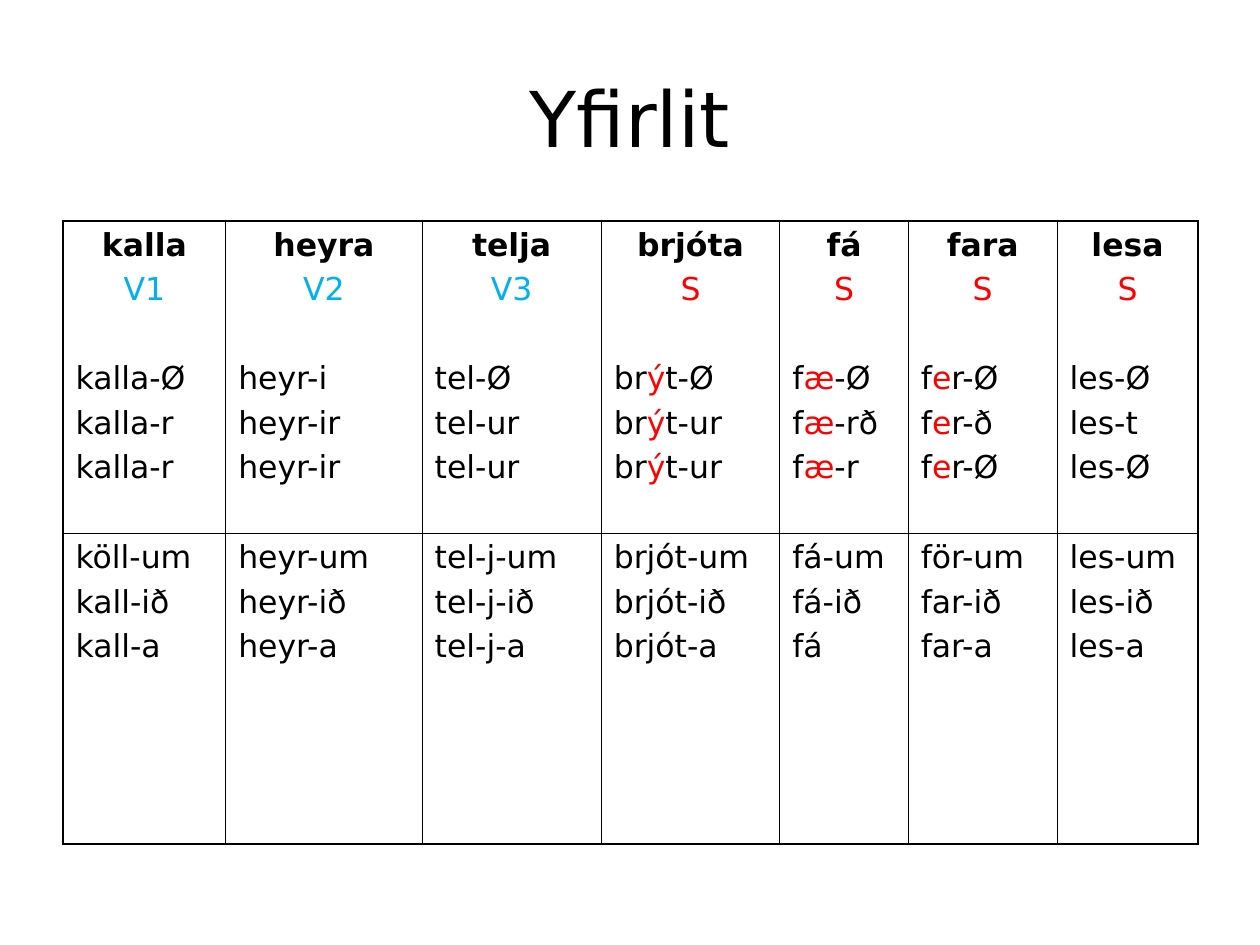
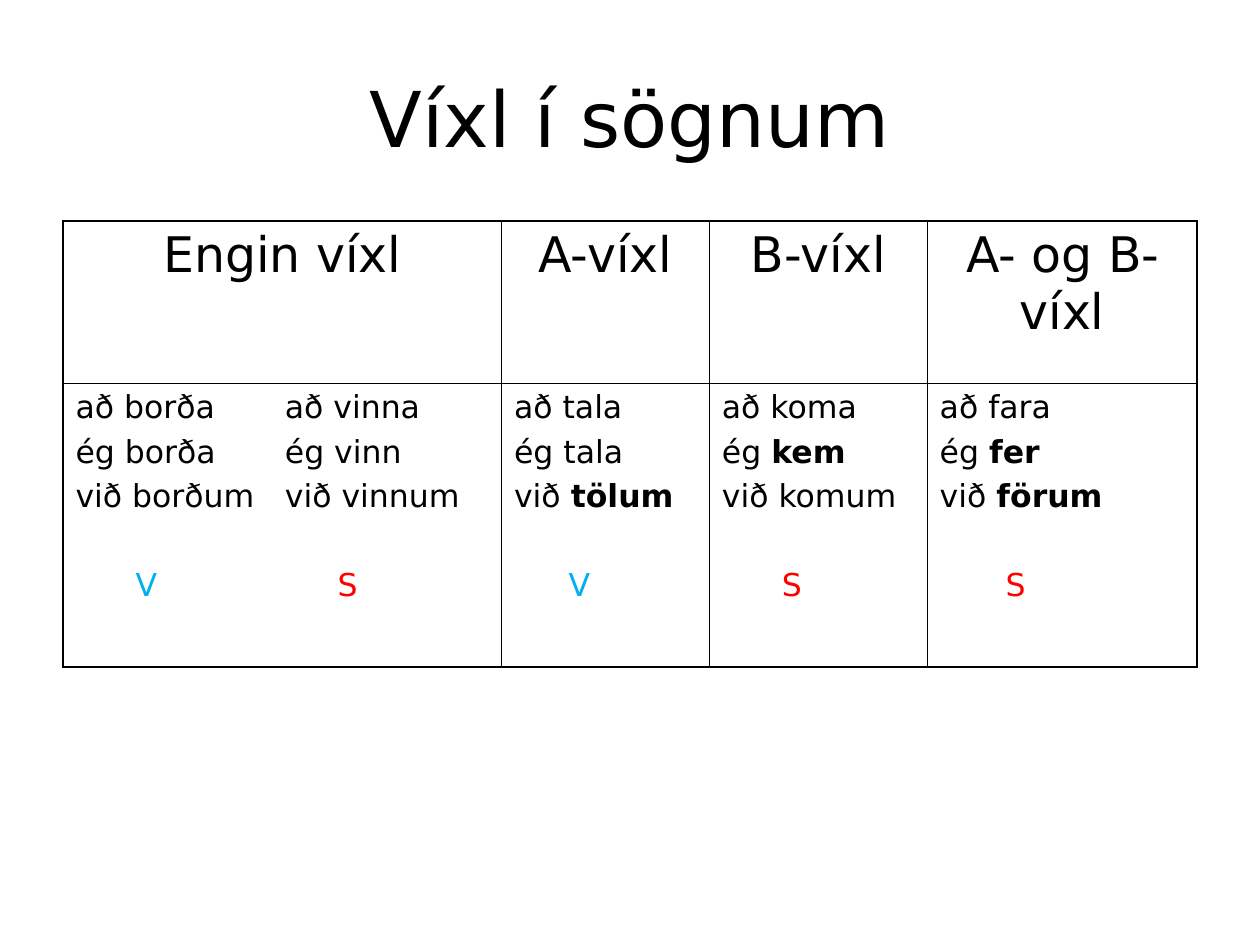
from dataclasses import dataclass

from lxml import etree
from pptx import Presentation
from pptx import util as u
from pptx.dml.color import RGBColor
from pptx.enum import text
from pptx.oxml import ns

FONT = "DejaVu Sans"
BLACK = RGBColor(0x00, 0x00, 0x00)
BLUE = RGBColor(0x00, 0xB0, 0xF0)
RED = RGBColor(0xFF, 0x00, 0x00)

SLIDE_WIDTH, SLIDE_HEIGHT = u.Cm(25.4), u.Cm(19.05)
LEFT_MARGIN, TABLE_TOP = u.Cm(1.27), u.Cm(4.45)
TITLE_TOP, TITLE_WIDTH, TITLE_HEIGHT = u.Cm(0.76), u.Cm(22.86), u.Cm(3.18)
OUTER_BORDER, INNER_BORDER = u.Pt(1.08), u.Pt(0.45)
LINE_GAP, HEADER_GAP, GROUP_GAP = 4.5, 7, 30


@dataclass(frozen=True)
class Emphasis:
    text: str
    color: RGBColor = BLACK
    bold: bool = False


@dataclass(frozen=True)
class Line:
    text: str
    emphases: tuple[Emphasis, ...] = ()
    bold: bool = False
    centered: bool = False
    size: float = 18
    space_before: float = LINE_GAP
    tabs: tuple[float, ...] = ()


@dataclass(frozen=True)
class Verb:
    infinitive: str
    verb_class: str
    singular: tuple[str, ...]
    plural: tuple[str, ...]
    changed_vowel: str = ""


@dataclass(frozen=True)
class Grid:
    title: str
    column_widths: tuple[float, ...]
    row_heights: tuple[float, ...]
    rows: list[list[list[Line]]]


VERBS = (
    Verb("kalla", "V1", ("kalla-Ø", "kalla-r", "kalla-r"), ("köll-um", "kall-ið", "kall-a")),
    Verb("heyra", "V2", ("heyr-i", "heyr-ir", "heyr-ir"), ("heyr-um", "heyr-ið", "heyr-a")),
    Verb("telja", "V3", ("tel-Ø", "tel-ur", "tel-ur"), ("tel-j-um", "tel-j-ið", "tel-j-a")),
    Verb("brjóta", "S", ("brýt-Ø", "brýt-ur", "brýt-ur"), ("brjót-um", "brjót-ið", "brjót-a"), "ý"),
    Verb("fá", "S", ("fæ-Ø", "fæ-rð", "fæ-r"), ("fá-um", "fá-ið", "fá"), "æ"),
    Verb("fara", "S", ("fer-Ø", "fer-ð", "fer-Ø"), ("för-um", "far-ið", "far-a"), "e"),
    Verb("lesa", "S", ("les-Ø", "les-t", "les-Ø"), ("les-um", "les-ið", "les-a")),
)


def class_mark(name: str) -> Emphasis:
    return Emphasis(name, RED if name == "S" else BLUE)


def bold_word(word: str) -> tuple[Emphasis, ...]:
    return (Emphasis(word, bold=True),)


def class_line(names: str, *tabs: float) -> Line:
    return Line("".join(f"\t{name}" for name in names),
                tuple(class_mark(name) for name in names),
                space_before=GROUP_GAP, tabs=tabs)


def singular_lines(verb: Verb) -> list[Line]:
    vowel = (Emphasis(verb.changed_vowel, RED),) if verb.changed_vowel else ()
    heading = [
        Line(verb.infinitive, bold=True, centered=True),
        Line(verb.verb_class, (class_mark(verb.verb_class),), centered=True),
    ]
    forms = [Line(form, vowel, space_before=LINE_GAP if index else GROUP_GAP)
             for index, form in enumerate(verb.singular)]
    return heading + forms


def paired_line(first: str, second: str) -> Line:
    return Line(f"{first}\t{second}", tabs=(4.22,))


OVERVIEW = Grid(
    "Yfirlit",
    (3.28, 3.96, 3.61, 3.6, 2.59, 3.0, 2.84),
    (6.3, 6.27),
    [
        [singular_lines(verb) for verb in VERBS],
        [[Line(form) for form in verb.plural] for verb in VERBS],
    ],
)

ALTERNATIONS = Grid(
    "Víxl í sögnum",
    (8.84, 4.19, 4.39, 5.44),
    (3.28, 5.72),
    [
        [[Line(name, centered=True, size=28, space_before=HEADER_GAP)]
         for name in ("Engin víxl", "A-víxl", "B-víxl", "A- og B-víxl")],
        [
            [paired_line("að borða", "að vinna"), paired_line("ég borða", "ég vinn"),
             paired_line("við borðum", "við vinnum"), class_line("VS", 1.21, 5.28)],
            [Line("að tala"), Line("ég tala"),
             Line("við tölum", bold_word("tölum")), class_line("V", 1.1)],
            [Line("að koma"), Line("ég kem", bold_word("kem")),
             Line("við komum"), class_line("S", 1.21)],
            [Line("að fara"), Line("ég fer", bold_word("fer")),
             Line("við förum", bold_word("förum")), class_line("S", 1.33)],
        ],
    ],
)


def format_run(run, size: float, color: RGBColor, bold: bool) -> None:
    run.font.name = FONT
    run.font.size = u.Pt(size)
    run.font.color.rgb = color
    run.font.bold = bold


def add_tabs(paragraph, positions: tuple[float, ...]) -> None:
    properties = paragraph._p.get_or_add_pPr()
    tab_list = etree.SubElement(properties, ns.qn("a:tabLst"))
    for position in positions:
        etree.SubElement(tab_list, ns.qn("a:tab"), pos=str(u.Cm(position)), algn="l")


def write_line(paragraph, line: Line) -> None:
    def add_part(content: str, color: RGBColor, bold: bool) -> None:
        if content:
            run = paragraph.add_run()
            run.text = content
            format_run(run, line.size, color, bold)

    paragraph.alignment = text.PP_ALIGN.CENTER if line.centered else text.PP_ALIGN.LEFT
    paragraph.space_before = u.Pt(line.space_before)
    if line.tabs:
        add_tabs(paragraph, line.tabs)
    rest = line.text
    for emphasis in line.emphases:
        before, _, rest = rest.partition(emphasis.text)
        add_part(before, BLACK, line.bold)
        add_part(emphasis.text, emphasis.color, emphasis.bold)
    add_part(rest, BLACK, line.bold)


def set_borders(cell, outer_sides: dict[str, bool]) -> None:
    properties = cell._tc.get_or_add_tcPr()
    for side, is_outer in outer_sides.items():
        width = OUTER_BORDER if is_outer else INNER_BORDER
        border = etree.SubElement(properties, ns.qn(f"a:ln{side}"), w=str(width))
        fill = etree.SubElement(border, ns.qn("a:solidFill"))
        etree.SubElement(fill, ns.qn("a:srgbClr"), val=str(BLACK))


def add_title(slide, title: str) -> None:
    shape = slide.shapes.title
    shape.left, shape.top = LEFT_MARGIN, TITLE_TOP
    shape.width, shape.height = TITLE_WIDTH, TITLE_HEIGHT
    shape.text_frame.text = title
    shape.text_frame.vertical_anchor = text.MSO_ANCHOR.MIDDLE
    paragraph = shape.text_frame.paragraphs[0]
    paragraph.alignment = text.PP_ALIGN.CENTER
    format_run(paragraph.runs[0], 44, BLACK, False)


def add_grid(slide, grid: Grid) -> None:
    row_count, column_count = len(grid.row_heights), len(grid.column_widths)
    table = slide.shapes.add_table(
        row_count, column_count, LEFT_MARGIN, TABLE_TOP,
        u.Cm(sum(grid.column_widths)), u.Cm(sum(grid.row_heights))).table
    table.first_row = table.horz_banding = False
    for column, width in zip(table.columns, grid.column_widths):
        column.width = u.Cm(width)
    for row, height in zip(table.rows, grid.row_heights):
        row.height = u.Cm(height)
    for row_index, row_cells in enumerate(grid.rows):
        for column_index, lines in enumerate(row_cells):
            cell = table.cell(row_index, column_index)
            set_borders(cell, {
                "L": column_index == 0,
                "R": column_index == column_count - 1,
                "T": row_index == 0,
                "B": row_index == row_count - 1,
            })
            cell.fill.background()
            for index, line in enumerate(lines):
                frame = cell.text_frame
                write_line(frame.add_paragraph() if index else frame.paragraphs[0], line)


def main() -> None:
    presentation = Presentation()
    presentation.slide_width, presentation.slide_height = SLIDE_WIDTH, SLIDE_HEIGHT
    title_only = presentation.slide_layouts.get_by_name("Title Only")
    for grid in (OVERVIEW, ALTERNATIONS):
        slide = presentation.slides.add_slide(title_only)
        add_title(slide, grid.title)
        add_grid(slide, grid)
    presentation.save("out.pptx")


if __name__ == "__main__":
    main()
